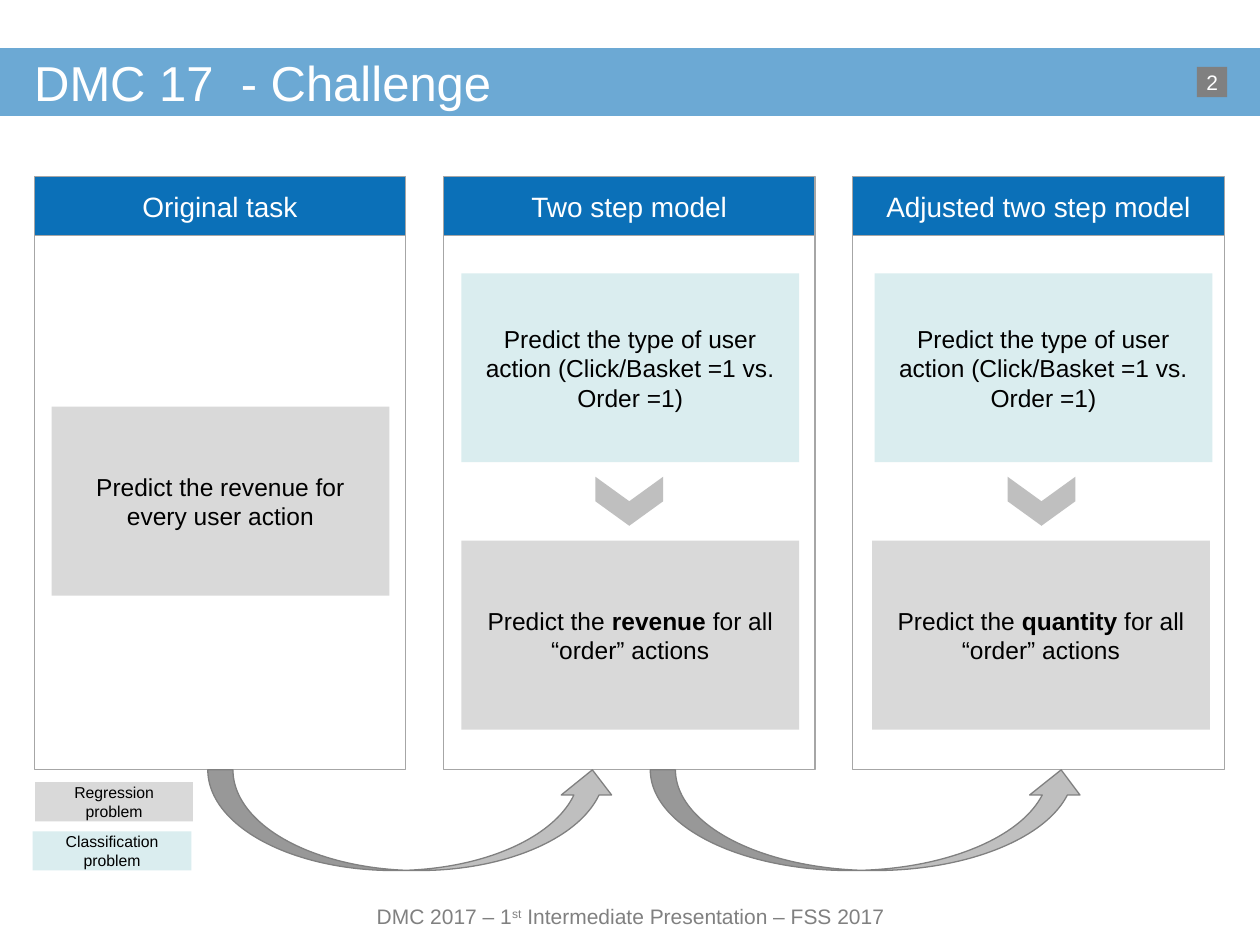
from dataclasses import dataclass
from lxml.etree import SubElement
from pptx import Presentation
from pptx.dml.color import RGBColor
from pptx.enum.shapes import MSO_SHAPE
from pptx.enum.text import MSO_ANCHOR, PP_ALIGN
from pptx.oxml.ns import qn
from pptx.util import Cm, Pt


@dataclass(frozen=True)
class Theme:
    font: str = "Arial"
    blue: str = "0B70B8"
    white: str = "FFFFFF"
    black: str = "000000"
    dark: str = "808080"
    edge: str = "A6A6A6"
    arrow: str = "BFBFBF"
    gray: str = "D9D9D9"
    mint: str = "DAEDEF"
    title: int = 28
    head: int = 16
    body: int = 14
    foot: int = 12
    small: int = 9
    line: float = 0.75


THEME = Theme()
LEFT, STEP, WIDE = 0.69, 8.25, 7.49
TOP, HEAD, BODY = 3.56, 1.19, 10.77
BASE = TOP + HEAD + BODY
HIGH, LOW = 5.51, 10.9


def write(shape, *parts, size=THEME.body, color=THEME.black,
          align=PP_ALIGN.CENTER, inset=None, wrap=True, mark="bold"):
    frame = shape.text_frame
    frame.word_wrap = wrap
    frame.vertical_anchor = MSO_ANCHOR.MIDDLE
    if inset is not None:
        frame.margin_left = frame.margin_right = Cm(inset)
        frame.margin_top = frame.margin_bottom = Cm(inset)
    para = frame.paragraphs[0]
    para.alignment = align
    for i, part in enumerate(parts):
        for j, text in enumerate(part.split("\n")):
            if j:
                para.add_line_break()
            run = para.add_run()
            run.text = text
            font = run.font
            font.name, font.size = THEME.font, Pt(size)
            font.color.rgb = RGBColor.from_string(color)
            if i % 2 and mark == "bold":
                font.bold = True
            elif i % 2:
                run._r.get_or_add_rPr().set("baseline", "30000")


def draw(slide, kind, x, y, w, h, fill=None, line=None):
    shape = slide.shapes.add_shape(kind, Cm(x), Cm(y), Cm(w), Cm(h))
    shape.shadow.inherit = False
    if fill:
        shape.fill.solid()
        shape.fill.fore_color.rgb = RGBColor.from_string(fill)
    else:
        shape.fill.background()
    if line:
        shape.line.color.rgb = RGBColor.from_string(line)
        shape.line.width = Pt(THEME.line)
    else:
        shape.line.fill.background()
    return shape


def box(slide, *area, **look):
    return draw(slide, MSO_SHAPE.RECTANGLE, *area, **look)


def fade(shape, part):
    color = shape._element.spPr.find(qn("a:solidFill"))[0]
    SubElement(color, qn("a:alpha")).set("val", str(part * 1000))


def label(slide, x, y, w, h, *parts, **style):
    shape = slide.shapes.add_textbox(Cm(x), Cm(y), Cm(w), Cm(h))
    write(shape, *parts, inset=0, **style)


def panel(slide, x, name):
    head = box(slide, x, TOP, WIDE, HEAD, fill=THEME.blue, line=THEME.edge)
    write(head, name, size=THEME.head, color=THEME.white)
    box(slide, x, TOP + HEAD, WIDE, BODY, line=THEME.edge)


def task(slide, x, y, fill, *parts):
    write(box(slide, x, y, 6.81, 3.81, fill=fill), *parts)


def model(slide, first, mid, second, goal):
    task(slide, first, HIGH, THEME.mint,
         "Predict the type of user action (Click/Basket =1 vs.\nOrder =1)")
    sign = draw(slide, MSO_SHAPE.CHEVRON, mid, 9.42, 0.99, 1.37,
                fill=THEME.arrow)
    sign.rotation = 90
    task(slide, second, LOW, THEME.gray,
         "Predict the ", goal, " for all “order” actions")


def frame(slide):
    bar = box(slide, 0, 0.97, 25.4, 1.37, fill=THEME.blue)
    fade(bar, 60)
    label(slide, LEFT, 0.97, 24, 1.37, "DMC 17  - Challenge",
          size=THEME.title, color=THEME.white, align=PP_ALIGN.LEFT)
    label(slide, 6.71, 18.11, 12.01, 0.71, "DMC 2017 – 1", "st",
          " Intermediate Presentation – FSS 2017",
          size=THEME.foot, color=THEME.dark, mark="super")
    page = box(slide, 24.13, 1.35, 0.61, 0.61, fill=THEME.dark)
    write(page, "2", size=THEME.foot, color=THEME.white, inset=0, wrap=False)


def legend(slide):
    for x, y, w, fill, name in (
        (0.71, 15.77, 3.18, THEME.gray, "Regression problem"),
        (0.66, 16.76, 3.2, THEME.mint, "Classification problem"),
    ):
        write(box(slide, x, y, w, 0.79, fill=fill), name, size=THEME.small)


def main():
    deck = Presentation()
    deck.slide_width, deck.slide_height = Cm(25.4), Cm(19.05)
    slide = deck.slides.add_slide(deck.slide_layouts[6])
    frame(slide)
    names = "Original task", "Two step model", "Adjusted two step model"
    for i, name in enumerate(names):
        panel(slide, LEFT + i * STEP, name)
    for x, w in ((4.19, 8.26), (13.11, 8.79)):
        draw(slide, MSO_SHAPE.CURVED_UP_ARROW, x, BASE, w, 2.03,
             fill=THEME.arrow, line=THEME.dark)
    task(slide, 1.04, 8.2, THEME.gray,
         "Predict the revenue for every user action")
    model(slide, 9.3, 12.19, 9.3, "revenue")
    model(slide, 17.63, 20.5, 17.58, "quantity")
    legend(slide)
    deck.save("out.pptx")


if __name__ == "__main__":
    main()
